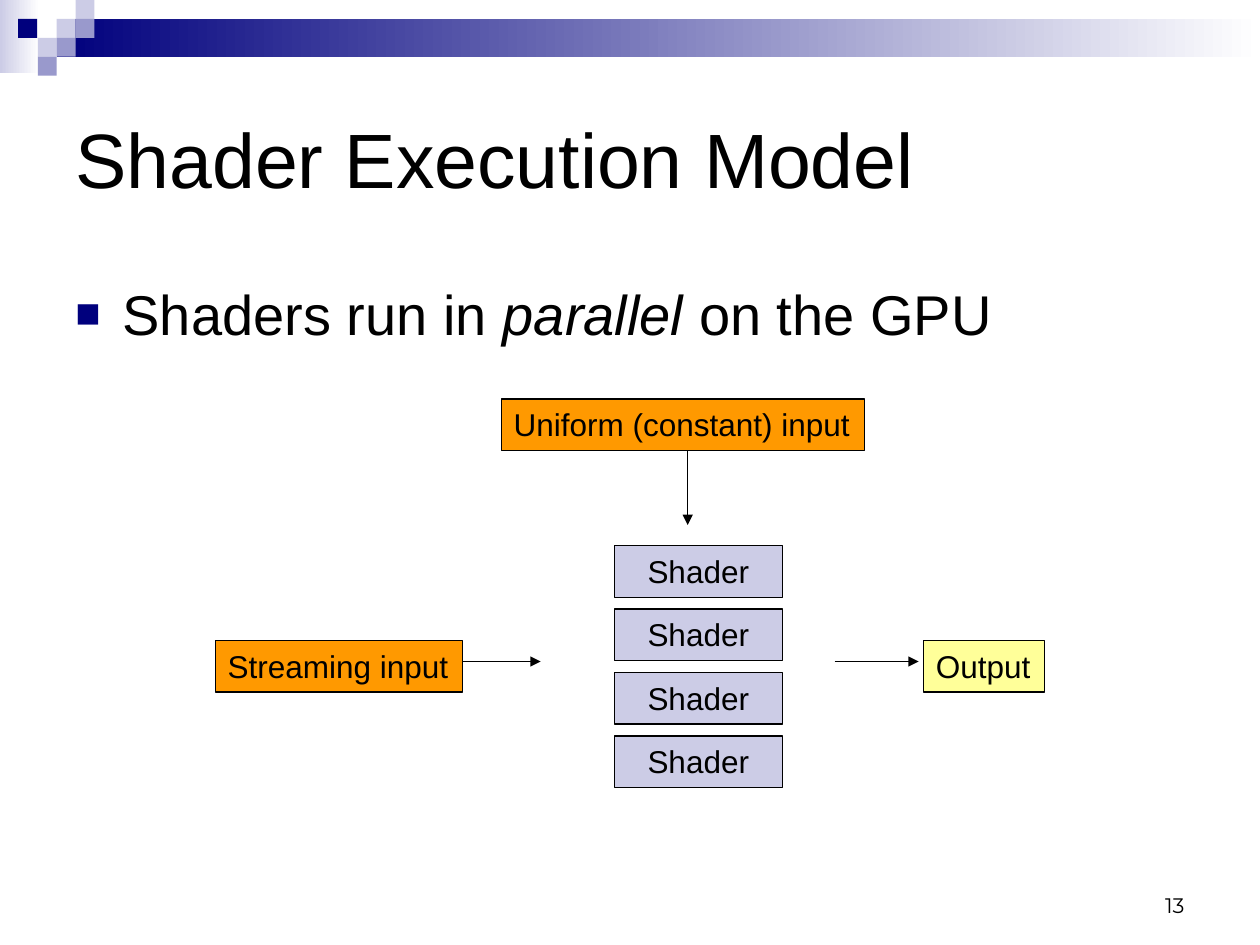
from dataclasses import dataclass

from lxml import etree
from pptx import Presentation
from pptx.dml.color import RGBColor
from pptx.enum.shapes import MSO_CONNECTOR, MSO_SHAPE
from pptx.enum.text import MSO_ANCHOR, MSO_AUTO_SIZE, PP_ALIGN
from pptx.oxml.ns import qn
from pptx.util import Pt

RECTANGLE = MSO_SHAPE.RECTANGLE
STRAIGHT = MSO_CONNECTOR.STRAIGHT
TOP, MIDDLE, BOTTOM = MSO_ANCHOR.TOP, MSO_ANCHOR.MIDDLE, MSO_ANCHOR.BOTTOM
LEFT, CENTER, RIGHT = PP_ALIGN.LEFT, PP_ALIGN.CENTER, PP_ALIGN.RIGHT
GROW = MSO_AUTO_SIZE.SHAPE_TO_FIT_TEXT

BLACK, WHITE, NAVY = "000000", "FFFFFF", "00007D"
LAVENDER, PERIWINKLE = "CCCCE6", "9999CC"
ORANGE, YELLOW = "FF9900", "FFFF99"
BOX_HEIGHT = 29.5
SHADER_TOP, SHADER_PITCH, SHADER_COUNT = 311.75, 36.25, 4


@dataclass
class Area:
    left: float
    top: float
    width: float
    height: float
    fill: str
    fade: str = ""


@dataclass
class Node:
    text: str
    left: float
    top: float
    width: float
    fill: str
    align: PP_ALIGN = LEFT
    wrap: bool = False


@dataclass
class Arrow:
    start: tuple[float, float]
    end: tuple[float, float]


BANNER = [
    Area(0, 0, 22.5, 42, LAVENDER, WHITE),
    Area(32.4, 10.8, 687.6, 21.6, NAVY, WHITE),
] + [
    Area(left, top, 10.8, 10.8, fill)
    for left, top, fill in [
        (32.4, 10.8, LAVENDER),
        (43.2, 0, LAVENDER),
        (43.2, 10.8, PERIWINKLE),
        (21.6, 21.6, LAVENDER),
        (10.4, 10.8, NAVY),
        (32.4, 21.6, PERIWINKLE),
        (21.6, 32.4, PERIWINKLE),
    ]
]
NODES = [
    Node("Streaming input", 123, 366, 141.25, ORANGE),
    Node("Output", 527.75, 366, 69, YELLOW),
    Node("Uniform (constant) input", 286.5, 228, 207.5, ORANGE),
] + [
    Node("Shader", 351, SHADER_TOP + row * SHADER_PITCH, 96, LAVENDER, CENTER, True)
    for row in range(SHADER_COUNT)
]
ARROWS = [
    Arrow((261, 378), (309, 378)),
    Arrow((477, 378), (525, 378)),
    Arrow((393, 258), (393, 300)),
]


def color(value: str) -> RGBColor:
    return RGBColor.from_string(value)


def write(shape, *pieces, size=18, font="Arial", align=LEFT, anchor=TOP, wrap=True):
    frame = shape.text_frame
    frame.word_wrap = wrap
    frame.vertical_anchor = anchor
    para = frame.paragraphs[0]
    para.alignment = align
    for text, italic in pieces:
        span = para.add_run()
        span.text = text
        span.font.name = font
        span.font.size = Pt(size)
        span.font.italic = italic
        span.font.color.rgb = color(BLACK)
    return para


def add_text(page, left, top, width, height, *pieces, **style):
    box = page.shapes.add_textbox(Pt(left), Pt(top), Pt(width), Pt(height))
    return write(box, *pieces, **style)


def add_bullet(para) -> None:
    para.space_before = Pt(5)
    properties = para._p.get_or_add_pPr()
    properties.set("marL", str(Pt(27)))
    properties.set("indent", str(Pt(-27)))
    tint = etree.SubElement(properties, qn("a:buClr"))
    etree.SubElement(tint, qn("a:srgbClr"), val=NAVY)
    etree.SubElement(properties, qn("a:buSzPct"), val="75000")
    etree.SubElement(properties, qn("a:buFont"), typeface="Arial")
    etree.SubElement(properties, qn("a:buChar"), char="■")


def add_area(page, area: Area):
    shape = page.shapes.add_shape(
        RECTANGLE, Pt(area.left), Pt(area.top), Pt(area.width), Pt(area.height)
    )
    shape.shadow.inherit = False
    shape.line.fill.background()
    if area.fade:
        shape.fill.gradient()
        shape.fill.gradient_angle = 0
        for stop, value in zip(shape.fill.gradient_stops, (area.fill, area.fade)):
            stop.color.rgb = color(value)
    else:
        shape.fill.solid()
        shape.fill.fore_color.rgb = color(area.fill)
    return shape


def add_node(page, node: Node) -> None:
    shape = add_area(page, Area(node.left, node.top, node.width, BOX_HEIGHT, node.fill))
    shape.line.color.rgb = color(BLACK)
    shape.line.width = Pt(0.75)
    write(shape, (node.text, False), align=node.align, wrap=node.wrap)
    shape.text_frame.auto_size = GROW


def add_arrow(page, arrow: Arrow) -> None:
    ends = [Pt(length) for length in arrow.start + arrow.end]
    connector = page.shapes.add_connector(STRAIGHT, *ends)
    connector.line.color.rgb = color(BLACK)
    connector.line.width = Pt(0.75)
    properties = connector.element.spPr
    etree.SubElement(properties.find(qn("a:ln")), qn("a:tailEnd"), type="triangle")
    etree.SubElement(properties, qn("a:effectLst"))


def main() -> None:
    deck = Presentation()
    deck.slide_width, deck.slide_height = Pt(720), Pt(540)
    page = deck.slides.add_slide(deck.slide_layouts[6])
    for area in BANNER:
        add_area(page, area)
    add_text(page, 36, 36, 648, 108, ("Shader Execution Model", False),
             size=44, anchor=MIDDLE)
    bullet = add_text(page, 36, 156, 648, 54, ("Shaders run in ", False),
                      ("parallel", True), (" on the GPU", False), size=32)
    add_bullet(bullet)
    for arrow in ARROWS:
        add_arrow(page, arrow)
    for node in NODES:
        add_node(page, node)
    add_text(page, 516, 492, 168, 36, ("13", False), size=12,
             font="Montserrat", align=RIGHT, anchor=BOTTOM)
    deck.save("out.pptx")


if __name__ == "__main__":
    main()
